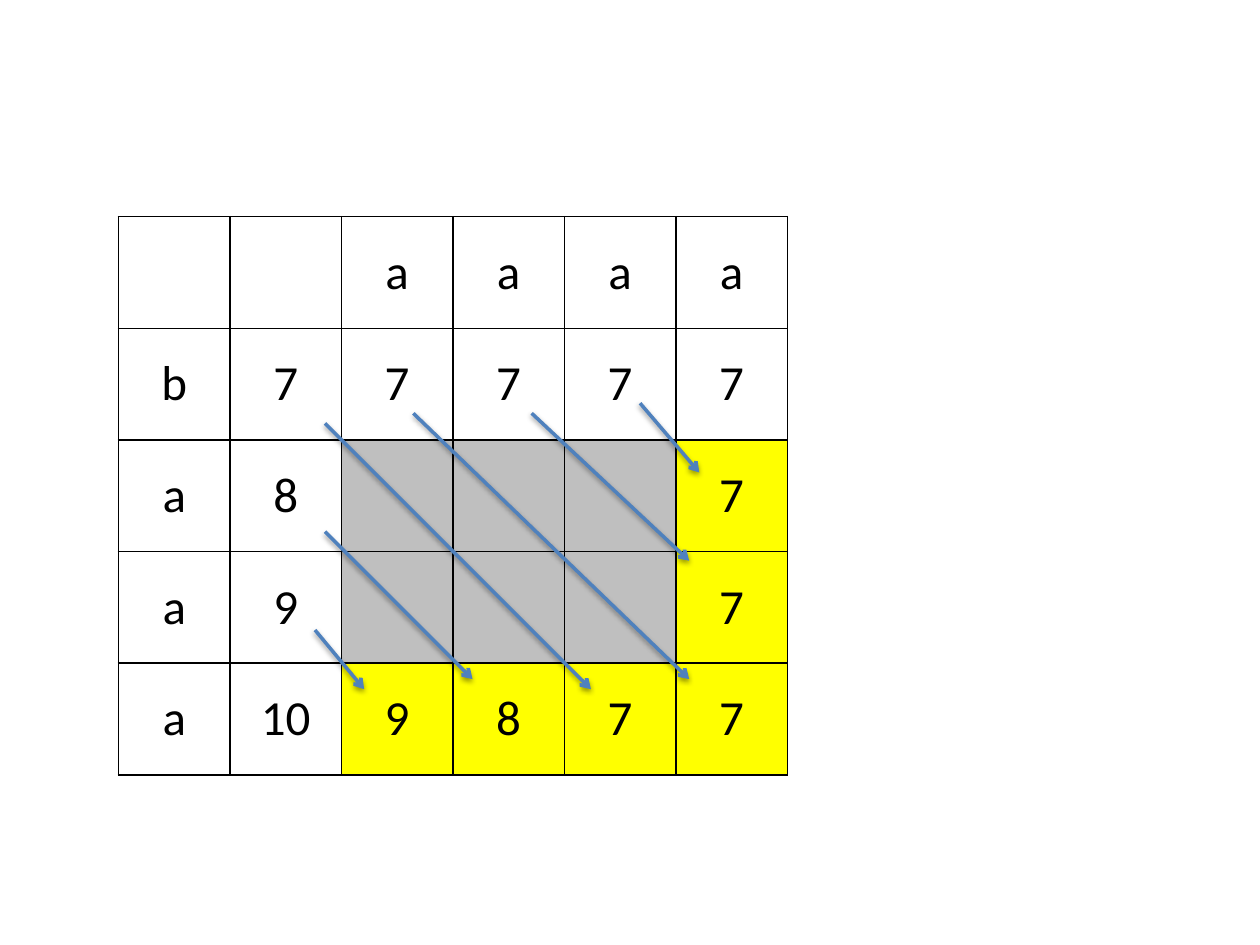
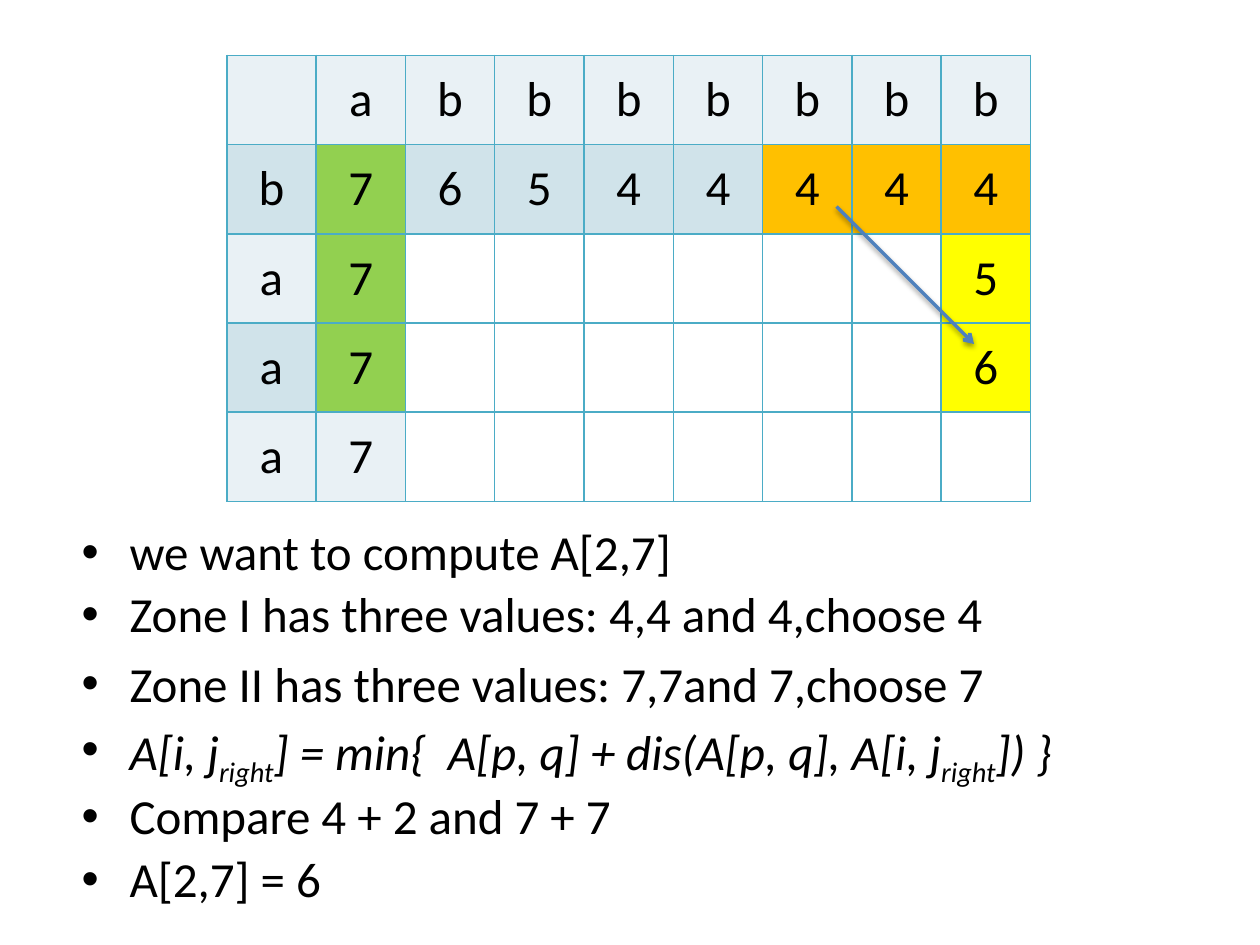
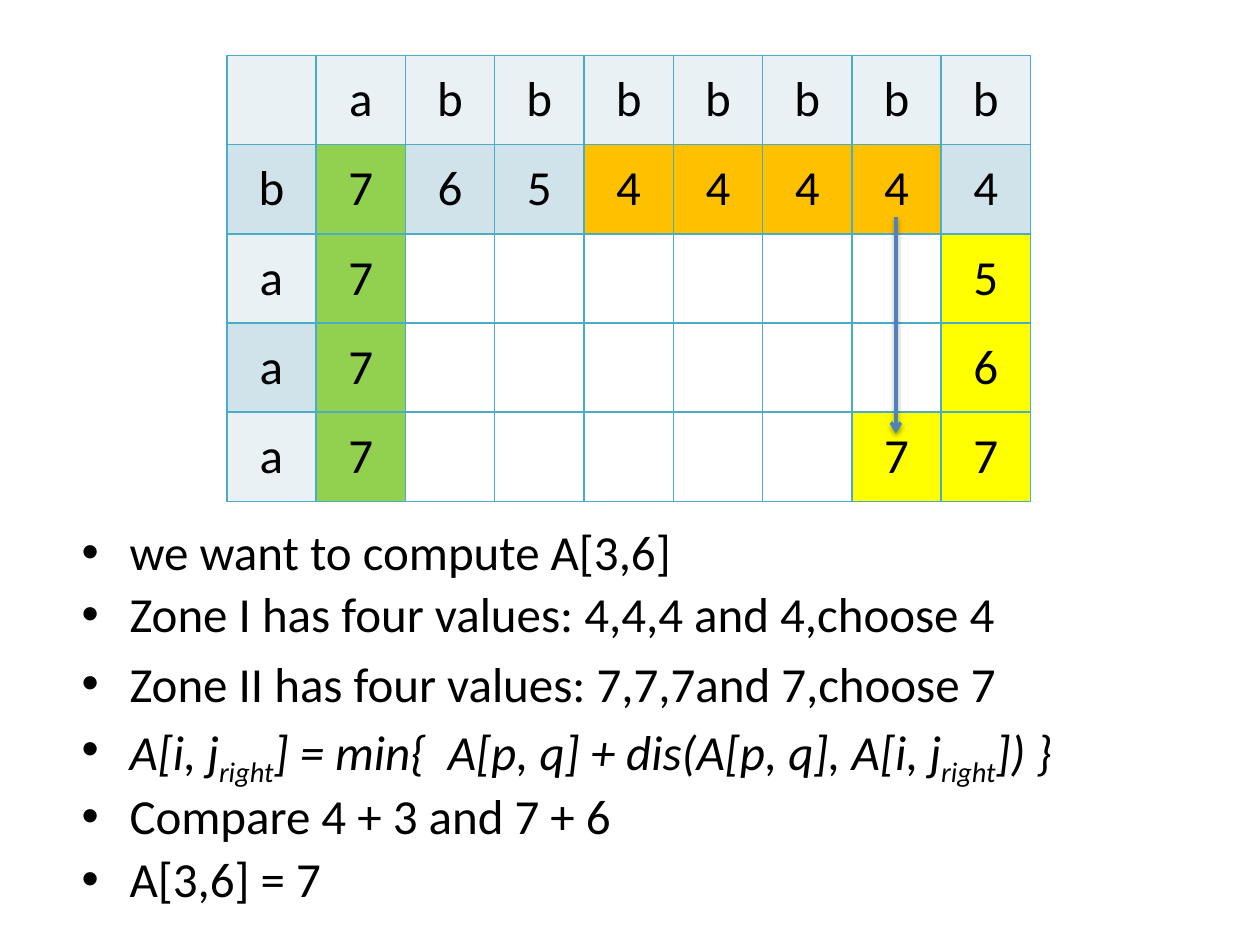
"""Builds three slides that fill in a distance matrix step by step."""
from lxml import etree
from pptx import Presentation
from pptx.dml.color import RGBColor
from pptx.enum.shapes import MSO_CONNECTOR
from pptx.enum.text import MSO_ANCHOR, PP_ALIGN
from pptx.oxml import parse_xml
from pptx.oxml.ns import nsdecls, qn
from pptx.util import Inches, Pt

STRAIGHT = MSO_CONNECTOR.STRAIGHT
CENTER, MIDDLE = PP_ALIGN.CENTER, MSO_ANCHOR.MIDDLE

FONT = "Calibri"
BLACK = RGBColor(0x00, 0x00, 0x00)
TEAL = RGBColor(0x4B, 0xAC, 0xC6)
BLUE = RGBColor(0x4F, 0x81, 0xBD)
FILLS = {
    "W": RGBColor(0xFF, 0xFF, 0xFF),
    "S": RGBColor(0xBF, 0xBF, 0xBF),
    "Y": RGBColor(0xFF, 0xFF, 0x00),
    "L": RGBColor(0xE9, 0xF1, 0xF5),
    "D": RGBColor(0xD0, 0xE3, 0xEA),
    "G": RGBColor(0x92, 0xD0, 0x50),
    "O": RGBColor(0xFF, 0xC0, 0x00),
}

BLOCK_BOX = (0.94, 1.72, 5.31, 4.43)
BLOCK_ROWS = [
    ["", "", "a", "a", "a", "a"],
    ["b", "7", "7", "7", "7", "7"],
    ["a", "8", "", "", "", "7"],
    ["a", "9", "", "", "", "7"],
    ["a", "10", "9", "8", "7", "7"],
]
BLOCK_FILLS = ["WWWWWW", "WWWWWW", "WWSSSY", "WWSSSY", "WWYYYY"]
BLOCK_ARROWS = [
    (5.08, 3.2, 5.55, 3.75),
    (4.22, 3.28, 5.47, 4.45),
    (3.28, 3.28, 5.47, 5.39),
    (2.58, 3.36, 4.69, 5.47),
    (2.58, 4.22, 3.75, 5.39),
    (2.5, 5, 2.89, 5.47),
]

STEP_BOX = (1.8, 0.44, 6.38, 3.54)
BULLET_BOX = (0.55, 4.14, 9.3, 3.13)
STEP_TOP = [list(" abbbbbbb"), list("b76544444")]
FORMULA = ["A[i, j", "right", "] = min{  A[p, q] + dis(A[p, q], A[i, j",
           "right", "]) }"]
STEPS = [
    {
        "rows": ["a7      5", "a7      6", "a7       "],
        "fills": ["LLLLLLLLL", "DGDDDDOOO", "LG......Y", "DG......Y",
                  "LL......."],
        "arrow": (6.64, 1.64, 7.73, 2.73),
        "entry": "A[2,7]",
        "zones": ["Zone I has three values: 4,4 and 4,choose 4",
                  "Zone II has three values: 7,7and 7,choose 7"],
        "sums": "4 + 2 and 7 + 7",
        "result": 6,
    },
    {
        "rows": ["a7      5", "a7      6", "a7     77"],
        "fills": ["LLLLLLLLL", "DGDDOOOOD", "LG......Y", "DG......Y",
                  "LG.....YY"],
        "arrow": (7.11, 1.72, 7.11, 3.44),
        "entry": "A[3,6]",
        "zones": ["Zone I has four values: 4,4,4 and 4,choose 4",
                  "Zone II has four values: 7,7,7and 7,choose 7"],
        "sums": "4 + 3 and 7 + 6",
        "result": 7,
    },
]


def add_text(p, text, size=28, color=BLACK, italic=False, baseline=0):
    r = p.add_run()
    r.text = text
    r.font.name, r.font.size, r.font.italic = FONT, Pt(size), italic
    r.font.color.rgb = color
    if baseline:
        r.font._element.set("baseline", str(baseline * 1000))


def add_borders(cell, color):
    tcPr = cell._tc.get_or_add_tcPr()
    for side in "LRTB":
        tcPr.append(parse_xml(
            f'<a:ln{side} {nsdecls("a")} w="12700"><a:solidFill>'
            f'<a:srgbClr val="{color}"/></a:solidFill></a:ln{side}>'))


def add_matrix(s, box, rows, fills, border):
    left, top, width, height = map(Inches, box)
    table = s.shapes.add_table(len(rows), len(rows[0]), left, top,
                               width, height).table
    table.first_row = table.horz_banding = False
    for column in table.columns:
        column.width = width // len(rows[0])
    for row in table.rows:
        row.height = height // len(rows)
    for i, row in enumerate(rows):
        for j, value in enumerate(row):
            cell = table.cell(i, j)
            add_borders(cell, border)
            if fills[i][j] in FILLS:
                cell.fill.solid()
                cell.fill.fore_color.rgb = FILLS[fills[i][j]]
            else:
                cell.fill.background()
            cell.vertical_anchor = MIDDLE
            if value.strip():
                p = cell.text_frame.paragraphs[0]
                p.alignment = CENTER
                add_text(p, value)


def add_arrow(s, ends):
    line = s.shapes.add_connector(STRAIGHT, *map(Inches, ends))
    line.line.color.rgb, line.line.width = BLUE, Pt(2)
    etree.SubElement(line.line._get_or_add_ln(), qn("a:tailEnd"), type="arrow")
    line._element.spPr.append(parse_xml(
        f'<a:effectLst {nsdecls("a")}><a:outerShdw blurRad="{Pt(3.1)}" '
        f'dist="{Pt(1.6)}" dir="5400000" rotWithShape="0">'
        '<a:srgbClr val="000000"><a:alpha val="38000"/></a:srgbClr>'
        '</a:outerShdw></a:effectLst>'))


def add_bullets(s, step):
    tf = s.shapes.add_textbox(*map(Inches, BULLET_BOX)).text_frame
    tf.word_wrap = True
    zone_1, zone_2 = step["zones"]
    bullets = [["we want to compute " + step["entry"]], [zone_1], [zone_2],
               FORMULA, ["Compare " + step["sums"]],
               [f"{step['entry']} = {step['result']}"]]
    for i, parts in enumerate(bullets):
        p = tf.add_paragraph() if i else tf.paragraphs[0]
        pPr = p._p.get_or_add_pPr()
        pPr.set("marL", str(Inches(0.38)))
        pPr.set("indent", str(-Inches(0.38)))
        etree.SubElement(pPr, qn("a:buFont"), typeface="Arial")
        etree.SubElement(pPr, qn("a:buChar"), char="•")
        p.line_spacing = 1.0 if parts == [zone_2] else 0.9
        if i:
            p.space_before = Pt(5.6)
        for k, part in enumerate(parts):
            add_text(p, part, italic=parts is FORMULA,
                     baseline=-25 if k % 2 else 0)


def main():
    prs = Presentation()
    prs.slide_width, prs.slide_height = Inches(10), Inches(7.5)
    blank = prs.slide_layouts[6]

    s = prs.slides.add_slide(blank)
    add_matrix(s, BLOCK_BOX, BLOCK_ROWS, BLOCK_FILLS, BLACK)
    for ends in BLOCK_ARROWS:
        add_arrow(s, ends)

    for step in STEPS:
        s = prs.slides.add_slide(blank)
        add_matrix(s, STEP_BOX, STEP_TOP + step["rows"], step["fills"], TEAL)
        add_arrow(s, step["arrow"])
        add_bullets(s, step)

    prs.save("out.pptx")


if __name__ == "__main__":
    main()
